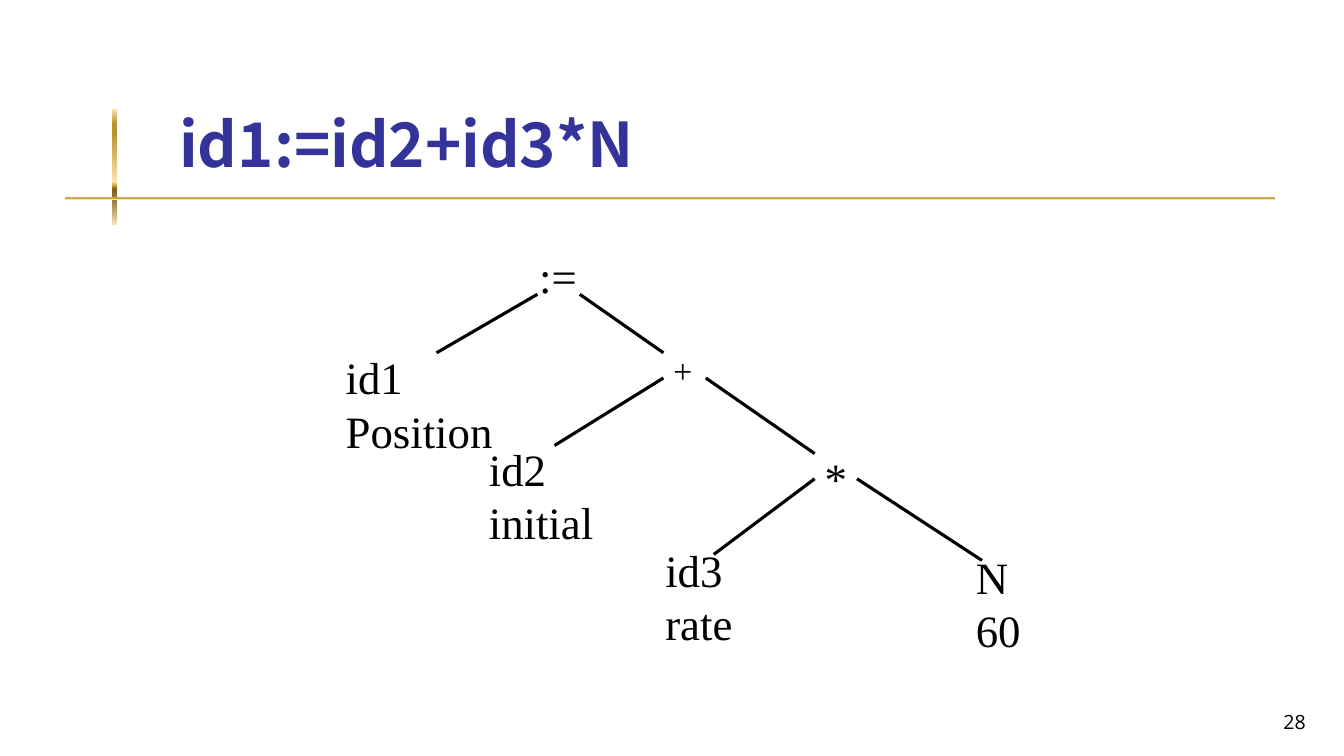
"""Slide showing the syntax tree of id1:=id2+id3*N."""
from lxml import etree
from pptx import Presentation
from pptx import util as u
from pptx.dml.color import RGBColor
from pptx.enum import shapes, text
from pptx.oxml import parse_xml
from pptx.oxml.ns import nsdecls, qn

PX = 9144
C = {"title": "333399", "ink": "000000", "pale": "FBE4AE", "gold": "BD922A",
     "brown": "835E17", "olive": "A28949", "cream": "FAE3B7"}
SERIF = "Times New Roman"

prs = Presentation()
prs.slide_width, prs.slide_height = 1333 * PX, 750 * PX
s = prs.slides.add_slide(prs.slide_layouts[6])


def add_text(words, box, size=32, font=SERIF, color="ink", bold=False,
             align=text.PP_ALIGN.LEFT, anchor=text.MSO_ANCHOR.TOP, spacing=None):
    tf = s.shapes.add_textbox(*[v * PX for v in box]).text_frame
    tf.word_wrap = True
    tf.vertical_anchor = anchor
    p = tf.paragraphs[0]
    p.alignment = align
    p.line_spacing = spacing
    r = p.add_run()
    r.text = words
    r.font.size, r.font.name, r.font.bold = u.Pt(size), font, bold
    r.font.color.rgb = RGBColor.from_string(C[color])
    etree.SubElement(r.font._element, qn("a:ea")).set("typeface", font)


stops = [(0, "pale"), (13, "gold"), (21, "gold"), (63, "pale"),
         (67, "gold"), (69, "brown"), (82, "olive"), (100, "cream")]
gs = "".join(f'<a:gs pos="{pos * 1000}"><a:srgbClr val="{C[name]}"/></a:gs>'
             for pos, name in stops)
for box in [(111, 108, 5, 115), (65, 195, 1200, 3)]:
    sp = s.shapes.add_shape(shapes.MSO_SHAPE.RECTANGLE, *[v * PX for v in box])
    sp.shadow.inherit = False
    sp.line.fill.background()
    sp._element.spPr.find(qn("a:prstGeom")).addnext(parse_xml(
        f'<a:gradFill {nsdecls("a")}><a:gsLst>{gs}</a:gsLst>'
        '<a:lin ang="5400000" scaled="0"/></a:gradFill>'))

add_text("id1:=id2+id3*N", (168, 23, 1136, 160), size=44, font="Noto Sans CJK JP",
         color="title", bold=True, anchor=text.MSO_ANCHOR.BOTTOM)

nodes = [
    (":=", 525, 242, 67, 64, 32),
    ("+", 658, 342, 67, 51, 24),
    ("N 60", 958, 540, 67, 118, 32),
    ("*", 808, 442, 67, 64, 32),
    ("id1 Position", 333, 342, 167, 118, 32),
    ("id2 initial", 475, 433, 125, 118, 32),
    ("id3 rate", 650, 533, 92, 118, 32),
]
for words, *box, size in nodes:
    add_text(words, box, size=size, spacing=u.Pt(size * 1.2))

branches = [
    (433, 350, 533, 292), (575, 292, 658, 350), (658, 375, 550, 442),
    (700, 375, 808, 450), (850, 475, 974, 556), (808, 475, 708, 550),
]
for ends in branches:
    cx = s.shapes.add_connector(shapes.MSO_CONNECTOR.STRAIGHT, *[v * PX for v in ends])
    cx.line.width = u.Pt(2.25)
    cx.line.color.rgb = RGBColor.from_string(C["ink"])
    etree.SubElement(cx._element.spPr, qn("a:effectLst"))

add_text("28", (1027, 683, 278, 50), size=14, font="Open Sans",
         align=text.PP_ALIGN.RIGHT, anchor=text.MSO_ANCHOR.BOTTOM)

prs.save("out.pptx")
